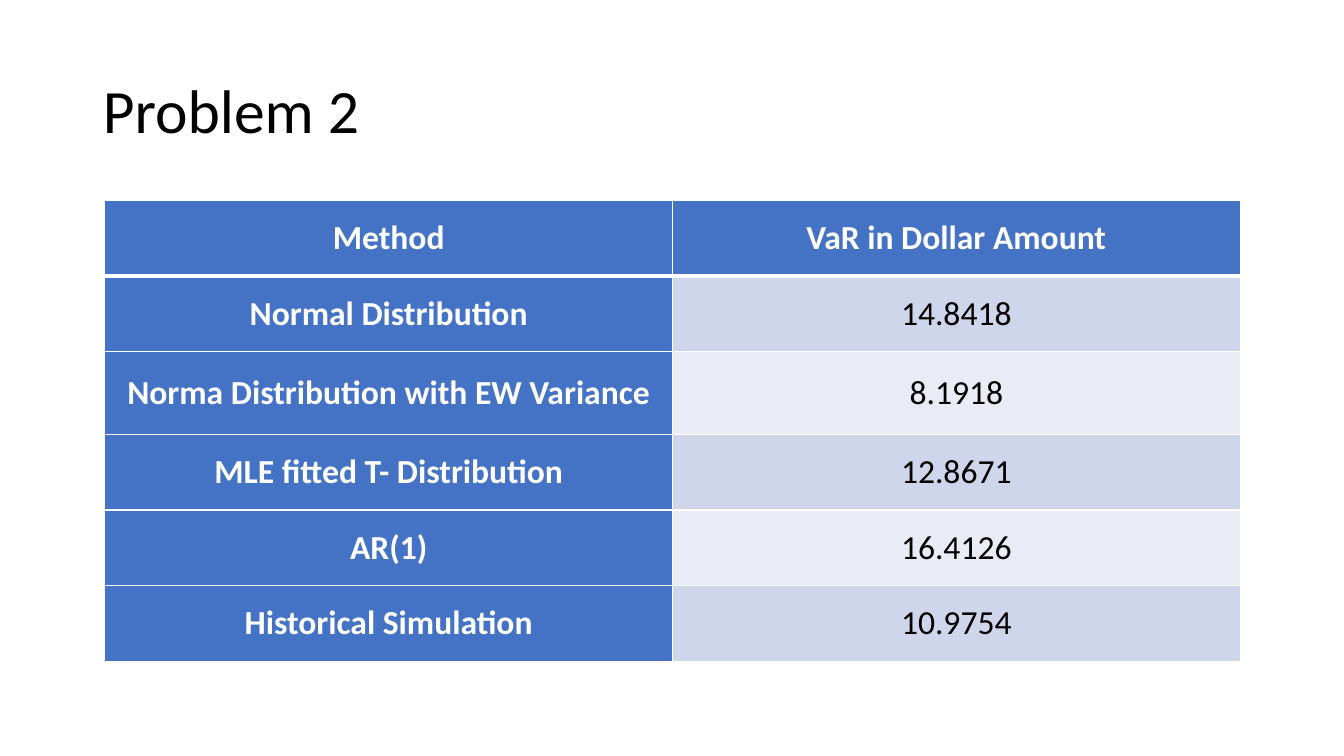
from dataclasses import dataclass

from lxml.etree import SubElement
from pptx import Presentation
from pptx.dml.color import RGBColor
from pptx.enum.text import MSO_ANCHOR, PP_ALIGN
from pptx.oxml.ns import qn
from pptx.util import Inches, Pt


@dataclass(frozen=True)
class Theme:
    font: str = "Calibri"
    title: int = 44
    body: int = 24
    thin: int = 1
    thick: int = 3
    black: str = "000000"
    white: str = "FFFFFF"
    blue: str = "4472C4"
    bands: tuple = ("CFD5EA", "E9EBF5")


THEME = Theme()
ROWS = [
    ("Method", "VaR in Dollar Amount"),
    ("Normal Distribution", "14.8418"),
    ("Norma Distribution with EW Variance", "8.1918"),
    ("MLE fitted T- Distribution", "12.8671"),
    ("AR(1)", "16.4126"),
    ("Historical Simulation", "10.9754"),
]
HEIGHTS = [0.75, 0.75, 0.82, 0.75, 0.75, 0.75]
WIDTH = 5.63


def add_run(para, text, size, color, bold=False):
    run = para.add_run()
    run.text = text
    run.font.name = THEME.font
    run.font.size = Pt(size)
    run.font.bold = bold
    run.font.color.rgb = RGBColor.from_string(color)


def add_title(slide, text):
    title = slide.shapes.title
    title.left, title.top = Inches(0.92), Inches(0.4)
    title.width, title.height = Inches(11.5), Inches(1.45)
    frame = title.text_frame
    frame.word_wrap = True
    frame.vertical_anchor = MSO_ANCHOR.MIDDLE
    para = frame.paragraphs[0]
    para.alignment = PP_ALIGN.LEFT
    para.line_spacing = 0.9
    add_run(para, text, THEME.title, THEME.black)


def add_edge(cell, side, points):
    props = cell._tc.get_or_add_tcPr()
    line = SubElement(props, qn(f"a:ln{side}"), w=str(Pt(points)))
    fill = SubElement(line, qn("a:solidFill"))
    SubElement(fill, qn("a:srgbClr"), val=THEME.white)


def fill_cell(cell, text, row, col):
    head = row == 0 or col == 0
    edges = {"L": THEME.thin, "R": THEME.thin,
             "T": THEME.thick if row == 1 else THEME.thin,
             "B": THEME.thick if row == 0 else THEME.thin}
    for side, points in edges.items():
        add_edge(cell, side, points)
    cell.fill.solid()
    shade = THEME.blue if head else THEME.bands[(row - 1) % 2]
    cell.fill.fore_color.rgb = RGBColor.from_string(shade)
    cell.vertical_anchor = MSO_ANCHOR.MIDDLE
    cell.margin_left = cell.margin_right = Inches(0.07)
    cell.margin_top = cell.margin_bottom = 0
    para = cell.text_frame.paragraphs[0]
    para.alignment = PP_ALIGN.CENTER
    ink = THEME.white if head else THEME.black
    add_run(para, text, THEME.body, ink, head)


def add_grid(slide, rows):
    count = len(rows[0])
    frame = slide.shapes.add_table(
        len(rows), count, Inches(1.04), Inches(1.99),
        Inches(WIDTH * count), Inches(sum(HEIGHTS)))
    table = frame.table
    table.first_col = True
    for col in table.columns:
        col.width = Inches(WIDTH)
    for row, values in enumerate(rows):
        table.rows[row].height = Inches(HEIGHTS[row])
        for col, text in enumerate(values):
            fill_cell(table.cell(row, col), text, row, col)


def main():
    deck = Presentation()
    deck.slide_width, deck.slide_height = Inches(13.33), Inches(7.5)
    slide = deck.slides.add_slide(deck.slide_layouts[5])
    add_title(slide, "Problem 2")
    add_grid(slide, ROWS)
    deck.save("out.pptx")


if __name__ == "__main__":
    main()
